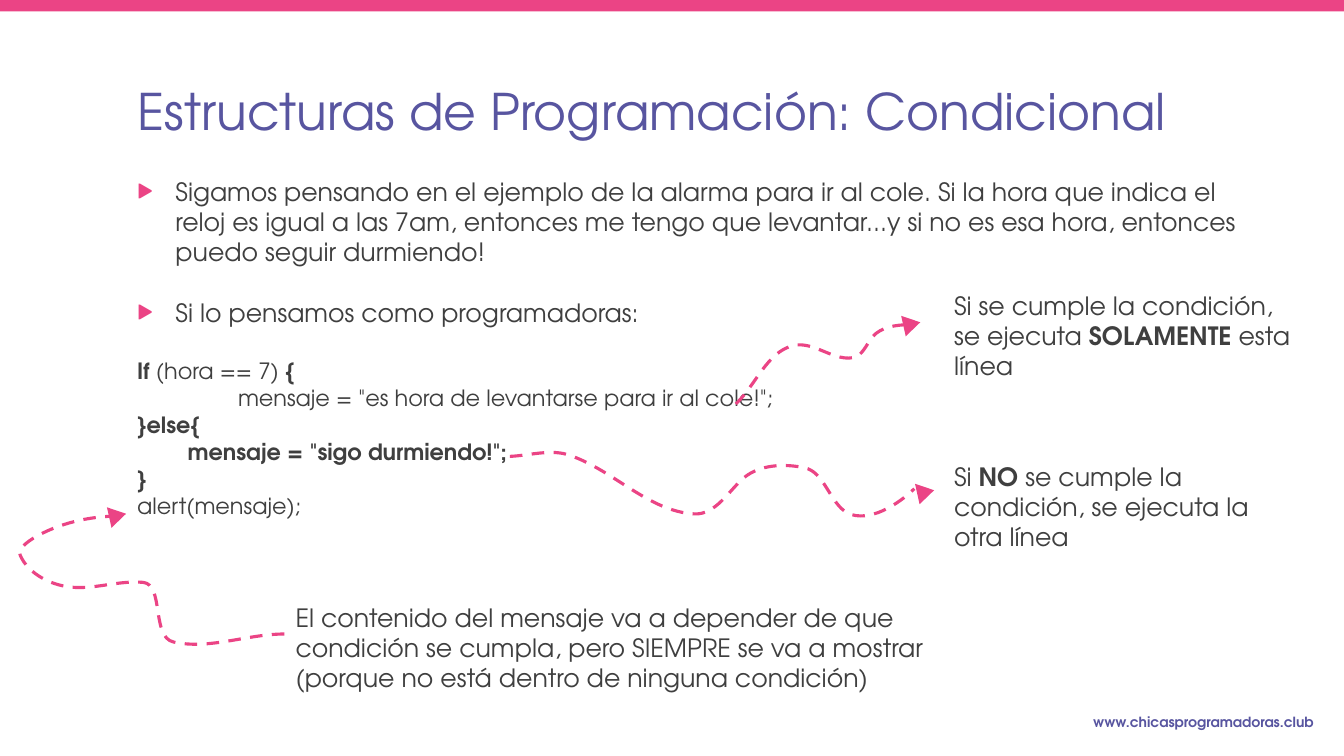
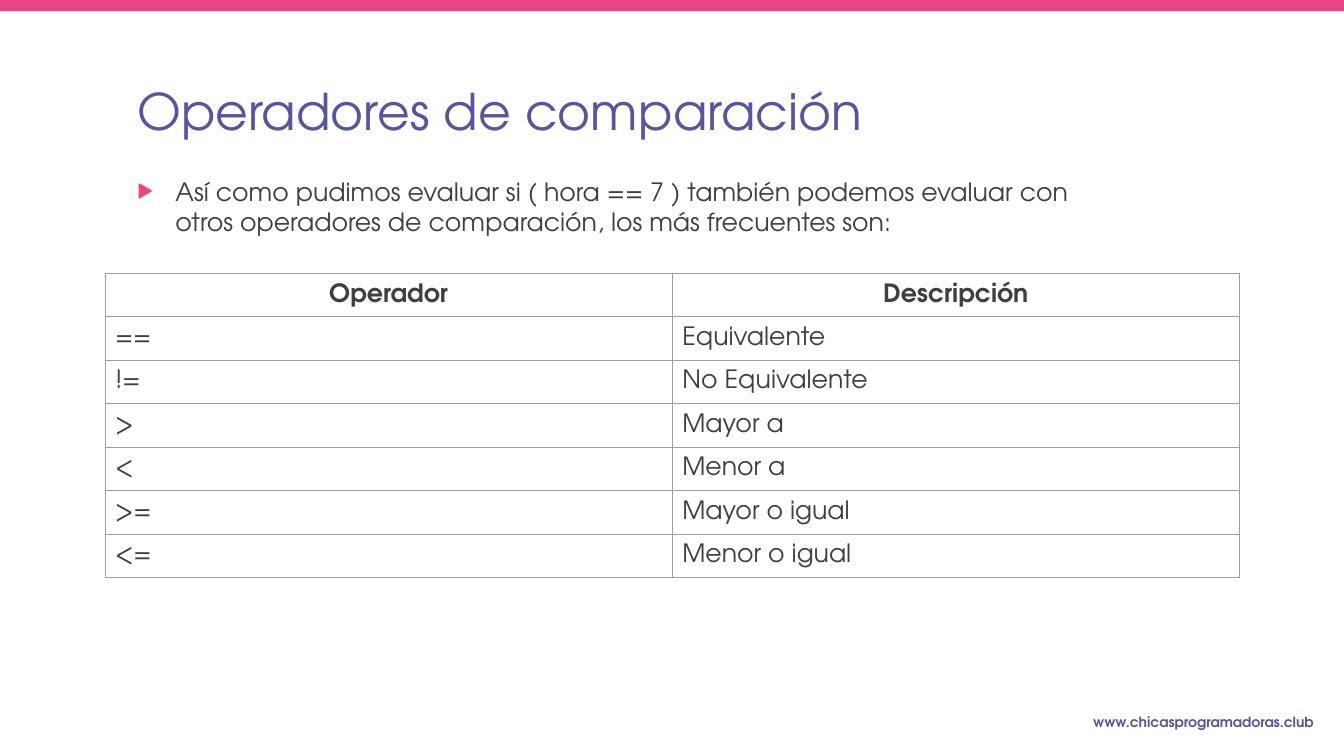
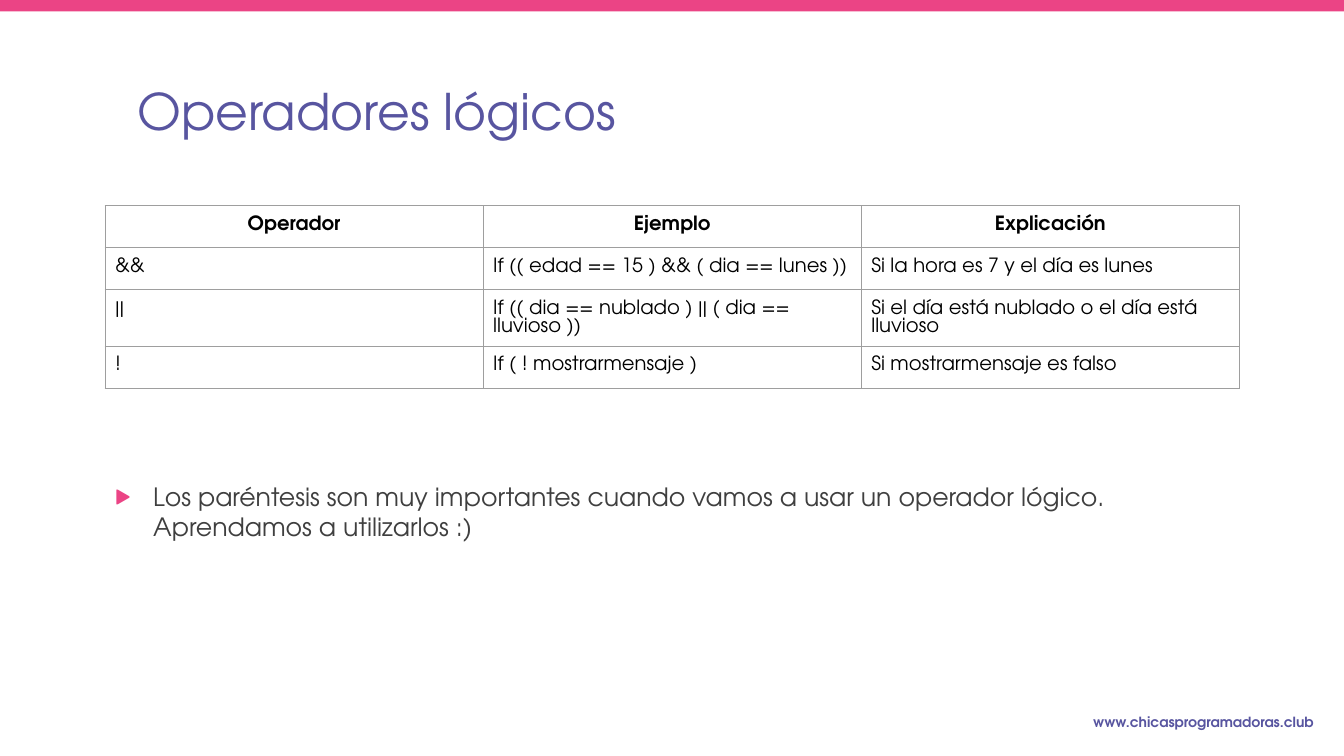
from lxml import etree
from pptx import Presentation
from pptx import util as u
from pptx.dml.color import RGBColor
from pptx.enum import dml, shapes, text
from pptx.oxml.ns import qn

PINK, PLUM, INK, BLACK, GREY = "EB4485", "5855A0", "3F3F3F", "000000", "9E9E9E"
FACE = "TeX Gyre Adventor"
MID, TOP = text.MSO_ANCHOR.MIDDLE, text.MSO_ANCHOR.TOP
LEFT, MIDST, RIGHT = text.PP_ALIGN.LEFT, text.PP_ALIGN.CENTER, text.PP_ALIGN.RIGHT
BULLET = "▶"

deck = Presentation()
deck.slide_width, deck.slide_height = u.Inches(13.33), u.Inches(7.5)
GRID = deck.slide_width / 32  # 32 columns by 18 rows of square cells


def rgb(code):
    return RGBColor.from_string(code)


def write(frame, lines, size=18, hue=INK, bold=False, align=LEFT):
    """Each line is (style, gap before, text[, size]); *stars* mark bold words.

    The style is BULLET or a first-line indent in inches."""
    for n, (style, gap, words, *own) in enumerate(lines):
        para = frame.paragraphs[0] if n == 0 else frame.add_paragraph()
        para.alignment = align
        para.space_before = u.Pt(gap)
        props = para._p.get_or_add_pPr()
        mark = style == BULLET
        props.set("marL", str(u.Inches(0.38 if mark else 0)))
        props.set("indent", str(u.Inches(-0.38 if mark else style)))
        if mark:
            tint = etree.SubElement(props, qn("a:buClr"))
            etree.SubElement(tint, qn("a:srgbClr"), val=PINK)
            etree.SubElement(props, qn("a:buSzPct"), val="80000")
            etree.SubElement(props, qn("a:buFont"), typeface=FACE)
            etree.SubElement(props, qn("a:buChar"), char=BULLET)
        else:
            etree.SubElement(props, qn("a:buNone"))
        font = para.font
        font.name, font.bold = FACE, bold
        font.size = u.Pt(own[0] if own else size)
        font.color.rgb = rgb(hue)
        for k, part in enumerate(words.split("*")):
            if part:
                run = para.add_run()
                run.text = part
                if k % 2:
                    run.font.bold = True


# Shared parts: band, title, footer
pages = []
for name in ("Estructuras de Programación: Condicional",
             "Operadores de comparación", "Operadores lógicos"):
    page = deck.slides.add_slide(deck.slide_layouts[5])
    pages.append(page)
    band = page.shapes.add_shape(shapes.MSO_SHAPE.RECTANGLE, 0, 0,
                                 deck.slide_width, int(0.27 * GRID))
    band.shadow.inherit = False
    band.fill.solid()
    band.fill.fore_color.rgb = rgb(PINK)
    band.line.fill.background()

    title = page.shapes.title
    title.left, title.top, title.width, title.height = (
        int(n * GRID) for n in (3.03, 1.7, 25.8, 1.85))
    title.text_frame.auto_size = text.MSO_AUTO_SIZE.NONE
    title.text_frame.vertical_anchor = MID
    write(title.text_frame, [(0, 0, name)], 36, PLUM)

    foot = page.shapes.add_textbox(
        *(int(n * GRID) for n in (21.38, 16.8, 10.13, 0.79))).text_frame
    foot.word_wrap = True
    foot.vertical_anchor = MID
    write(foot, [(0, 0, "www.chicasprogramadoras.club")], 10, PLUM, True, RIGHT)

# Body texts and notes: page, place, anchor, inset, lines
LINE = 21.6  # height of one line of body text, in points
CODE = 16
boxes = [
    (0, (3.03, 4.07, 27.08, 9.94), TOP, 0.05, [
        (BULLET, 0, "Sigamos pensando en el ejemplo de la alarma para ir al cole. "
         "Si la hora que indica el reloj es igual a las 7am, entonces me tengo que "
         "levantar...y si no es esa hora, entonces puedo seguir durmiendo!"),
        (BULLET, LINE, "Si lo pensamos como programadoras:"),
        (0, LINE, "*If *(hora == 7) *{*", CODE),
        (1, 0, 'mensaje = "es hora de levantarse para ir al cole!";', CODE),
        (0, 0, "*}else{*", CODE),
        (0.5, 0, '*mensaje = "sigo durmiendo!";*', CODE),
        (0, 0, "*}*", CODE),
        (0, 0, "alert(mensaje);", CODE)]),
    (0, (22.48, 7.06, 8.6, 1.85), MID, 0.1, [
        (0, 0, "Si se cumple la condición, se ejecuta *SOLAMENTE* esta línea")]),
    (0, (22.48, 11.14, 7.95, 1.85), MID, 0.1, [
        (0, 0, "Si *NO* se cumple la condición, se ejecuta la otra línea")]),
    (0, (6.8, 14.49, 16, 1.85), MID, 0.1, [
        (0, 0, "El contenido del mensaje va a depender de que condición se cumpla, "
         "pero SIEMPRE se va a mostrar (porque no está dentro de ninguna condición)")]),
    (1, (3.03, 4.07, 23.17, 9.94), TOP, 0.05, [
        (BULLET, 0, "Así como pudimos evaluar si ( hora == 7 ) también podemos evaluar "
         "con otros operadores de comparación, los más frecuentes son:")]),
    (2, (2.5, 10.9, 26.6, 2.57), MID, 0.1, [
        (BULLET, 0, "Los paréntesis son muy importantes cuando vamos a usar un "
         "operador lógico. Aprendamos a utilizarlos :)")]),
]
for page, place, anchor, inset, lines in boxes:
    frame = pages[page].shapes.add_textbox(*(int(n * GRID) for n in place)).text_frame
    frame.word_wrap = True
    frame.vertical_anchor = anchor
    frame.margin_top = frame.margin_bottom = u.Inches(inset)
    write(frame, lines)

# Dashed curves: Bézier points in grid cells, then the centre of the arrowhead
curves = [
    ([(17.52, 9.62), (18, 9.17), (18.26, 8.38), (18.89, 8.23), (19.39, 8.11),
      (19.9, 8.66), (20.38, 8.5), (20.59, 8.4), (20.66, 8.11), (20.86, 7.94),
      (21.1, 7.75), (21.46, 7.73), (21.77, 7.73)], (21.71, 7.72)),
    ([(12.14, 10.87), (12.62, 10.85), (13.13, 10.68), (13.58, 10.85), (14.62, 11.21),
      (15.46, 12.19), (16.54, 12.24), (17.04, 12.26), (17.35, 11.69), (17.71, 11.38),
      (18.1, 11.06), (18.67, 11.04), (19.15, 11.14), (19.63, 11.23), (19.75, 11.98),
      (20.18, 12.22), (20.69, 12.46), (21.38, 12.02), (21.77, 11.64)], (22.04, 11.72)),
    ([(6.77, 15.1), (5.88, 15.1), (4.99, 15.48), (4.13, 15.29), (3.6, 15.17),
      (3.91, 13.92), (3.41, 13.87), (2.86, 13.82), (2.3, 14.02), (1.78, 13.99),
      (1.27, 13.97), (0.67, 13.68), (0.48, 13.22), (0.41, 13.08), (0.65, 12.91),
      (0.79, 12.82), (1.39, 12.46), (2.14, 12.29), (2.83, 12.29)], (2.8, 12.28)),
]
for knots, (x, y) in curves:
    dots = [(GRID * a, GRID * b) for a, b in knots]
    pen = pages[0].shapes.build_freeform(*dots[0])
    pen.add_line_segments(dots[1:], close=False)
    curve = pen.convert_to_shape()
    # Turn each three straight steps into one Bézier step
    track = curve._element.find(".//" + qn("a:path"))
    for n, step in enumerate(track.findall(qn("a:lnTo"))):
        if n % 3 == 0:
            bend = etree.SubElement(track, qn("a:cubicBezTo"))
        bend.append(step[0])
        track.remove(step)
    curve.shadow.inherit = False
    curve.fill.background()
    curve.line.color.rgb = rgb(PINK)
    curve.line.width = u.Pt(2.25)
    curve.line.dash_style = dml.MSO_LINE.DASH

    wide, high = 0.5, 0.41
    head = pages[0].shapes.add_shape(
        shapes.MSO_SHAPE.ISOSCELES_TRIANGLE,
        *(int(n * GRID) for n in (x - wide / 2, y - high / 2, wide, high)))
    head.rotation = 77.4
    head.shadow.inherit = False
    head.fill.solid()
    head.fill.fore_color.rgb = rgb(PINK)
    head.line.fill.background()

# Tables: page, top row, text size, colour, rows
tables = [
    (1, 6.51, 18, INK, [
        ("Operador", "Descripción"), ("==", "Equivalente"), ("!=", "No Equivalente"),
        (">", "Mayor a"), ("<", "Menor a"), (">=", "Mayor o igual"),
        ("<=", "Menor o igual")]),
    (2, 4.9, 14, BLACK, [
        ("Operador", "Ejemplo", "Explicación"),
        ("&&", "If (( edad == 15 ) && ( dia == lunes ))",
         "Si la hora es 7 y el día es lunes"),
        ("||", "If (( dia == nublado ) || ( dia == lluvioso ))",
         "Si el día está nublado o el día está lluvioso"),
        ("!", "If ( ! mostrarmensaje )", "Si mostrarmensaje es falso")]),
]
TIGHT = 0.925  # line pitch in the cells, as a share of the text size
for page, top, size, hue, rows in tables:
    table = pages[page].shapes.add_table(
        len(rows), len(rows[0]),
        *(int(n * GRID) for n in (2.5, top, 27.01, len(rows)))).table
    table.first_row = table.horz_banding = False
    for r, row in enumerate(rows):
        for c, words in enumerate(row):
            cell = table.cell(r, c)
            cell.fill.background()
            cell.margin_left = cell.margin_right = u.Inches(0.1)
            cell.margin_top = cell.margin_bottom = u.Inches(0.1)
            write(cell.text_frame, [(0, 0, words)], size, hue, r == 0,
                  LEFT if r else MIDST)
            cell.text_frame.paragraphs[0].line_spacing = u.Pt(TIGHT * size)
            props = cell._tc.get_or_add_tcPr()
            for n, side in enumerate(("lnL", "lnR", "lnT", "lnB")):
                edge = etree.Element(qn("a:" + side), w=str(u.Pt(0.75)))
                paint = etree.SubElement(edge, qn("a:solidFill"))
                etree.SubElement(paint, qn("a:srgbClr"), val=GREY)
                props.insert(n, edge)

deck.save("out.pptx")
